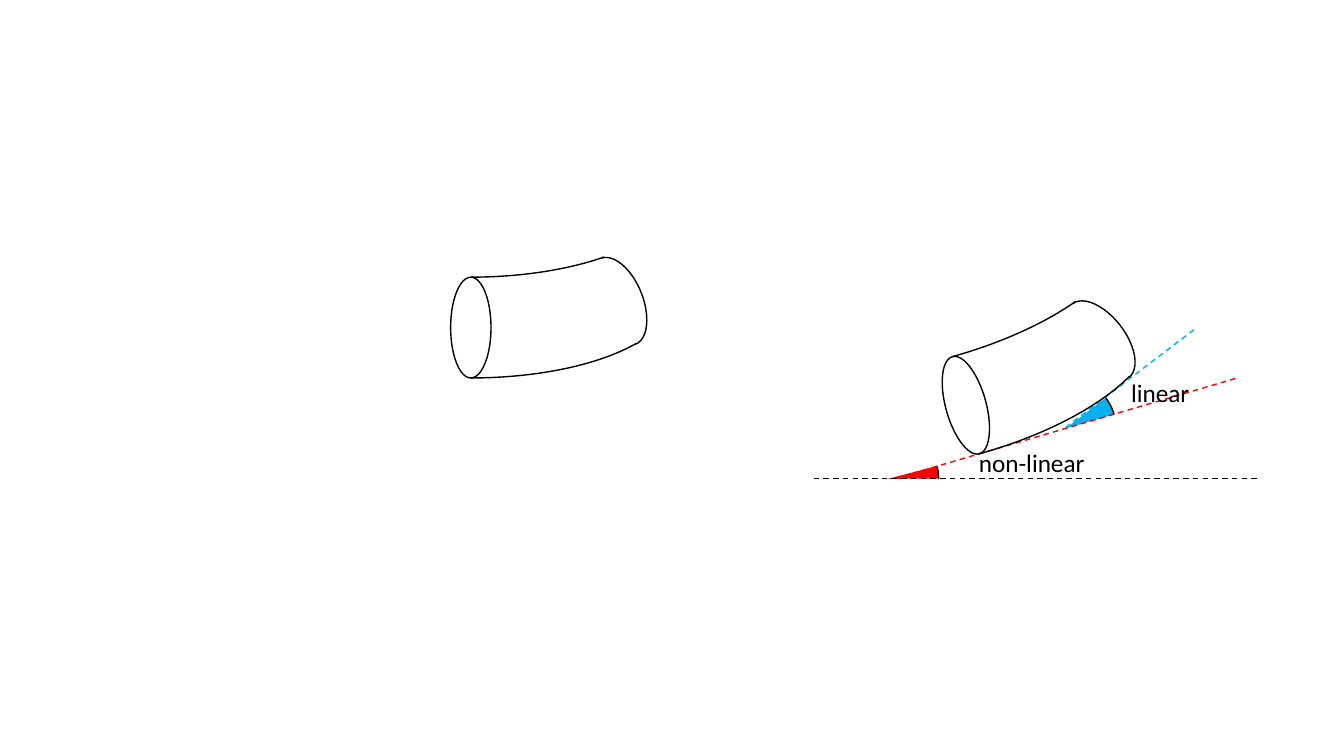
import math
from dataclasses import dataclass
from typing import Any, NamedTuple, Optional

import pptx
import pptx.dml.color
import pptx.enum.dml
import pptx.enum.shapes
import pptx.enum.text
import pptx.oxml.ns
import pptx.util
from lxml import etree

Inches = pptx.util.Inches
Pt = pptx.util.Pt
RGB = pptx.dml.color.RGBColor
MSO_SHAPE = pptx.enum.shapes.MSO_SHAPE


@dataclass(frozen=True)
class Theme:
    black: RGB = RGB(0x00, 0x00, 0x00)
    red: RGB = RGB(0xFF, 0x00, 0x00)
    blue: RGB = RGB(0x00, 0xB0, 0xF0)
    font: str = "Calibri"
    label_size: Pt = Pt(18)
    line_width: Pt = Pt(1)


class Outline(NamedTuple):
    cx: float
    cy: float
    w: float
    h: float
    rotation: float = 0
    arc: Optional[tuple[float, float]] = None
    fill: Optional[RGB] = None


class DashedLine(NamedTuple):
    x1: float
    y1: float
    x2: float
    y2: float
    color: RGB


class Label(NamedTuple):
    text: str
    x: float
    y: float
    w: float
    h: float


THEME = Theme()
ANGLE_WEDGES = [
    Outline(10.57, 4.25, 1, 1, arc=(322.75, 343.98), fill=THEME.blue),
    Outline(8.81, 4.75, 1, 1, arc=(345.45, 0), fill=THEME.red),
]
TANGENTS = [
    DashedLine(10.57, 4.24, 11.87, 3.25, THEME.blue),
    DashedLine(8.87, 4.75, 12.27, 3.75, THEME.red),
]
BASELINE = DashedLine(8.07, 4.75, 12.47, 4.75, THEME.black)
CYLINDER_PARTS = [
    Outline(0, 0, 0.4, 1),
    Outline(0, -1.3, 4, 1.6, arc=(24.38, 89.89)),
    Outline(0, -0.3, 4, 1.6, arc=(15.68, 89.89)),
    Outline(1.46, -0.26, 0.49, 0.92, rotation=-22, arc=(270.86, 89.89)),
]
LABELS = [
    Label("non-linear", 9.61, 4.39, 1.26, 0.4),
    Label("linear", 11.12, 3.69, 0.79, 0.4),
]


def draw_outline(shapes: Any, o: Outline) -> None:
    kind = MSO_SHAPE.ARC if o.arc else MSO_SHAPE.OVAL
    sp = shapes.add_shape(kind, Inches(o.cx - o.w / 2), Inches(o.cy - o.h / 2),
                          Inches(o.w), Inches(o.h))
    for i, degrees in enumerate(o.arc or ()):
        sp.adjustments[i] = degrees * 0.6
    sp.rotation = o.rotation % 360
    sp.shadow.inherit = False
    if o.fill is None:
        sp.fill.background()
    else:
        sp.fill.solid()
        sp.fill.fore_color.rgb = o.fill
    sp.line.color.rgb = THEME.black
    sp.line.width = THEME.line_width


def draw_cylinder(shapes: Any, cx: float, cy: float, tilt: float = 0) -> None:
    group = shapes.add_group_shape()
    cos, sin = math.cos(math.radians(tilt)), math.sin(math.radians(tilt))
    for part in CYLINDER_PARTS:
        draw_outline(group.shapes, part._replace(
            cx=cx + part.cx * cos - part.cy * sin,
            cy=cy + part.cx * sin + part.cy * cos,
            rotation=part.rotation + tilt))


def draw_line(shapes: Any, d: DashedLine) -> None:
    line = shapes.add_connector(pptx.enum.shapes.MSO_CONNECTOR.STRAIGHT,
                                Inches(d.x1), Inches(d.y1), Inches(d.x2), Inches(d.y2))
    line.line.color.rgb = d.color
    line.line.width = THEME.line_width
    line.line.dash_style = pptx.enum.dml.MSO_LINE.DASH
    etree.SubElement(line._element.spPr, pptx.oxml.ns.qn("a:effectLst"))


def draw_label(shapes: Any, label: Label) -> None:
    box = shapes.add_textbox(Inches(label.x), Inches(label.y), Inches(label.w), Inches(label.h))
    tf = box.text_frame
    tf.word_wrap = False
    tf.auto_size = pptx.enum.text.MSO_AUTO_SIZE.SHAPE_TO_FIT_TEXT
    p = tf.paragraphs[0]
    p.text = label.text
    p.font.name = THEME.font
    p.font.size = THEME.label_size
    p.font.color.rgb = THEME.black


prs = pptx.Presentation()
prs.slide_width, prs.slide_height = Inches(13.33), Inches(7.5)
s = prs.slides.add_slide(prs.slide_layouts[6])

for wedge in ANGLE_WEDGES:
    draw_outline(s.shapes, wedge)
for tangent in TANGENTS:
    draw_line(s.shapes, tangent)
draw_cylinder(s.shapes, 4.67, 3.25)
draw_cylinder(s.shapes, 9.58, 4.02, tilt=-15.5)
draw_line(s.shapes, BASELINE)
for label in LABELS:
    draw_label(s.shapes, label)

prs.save("out.pptx")
